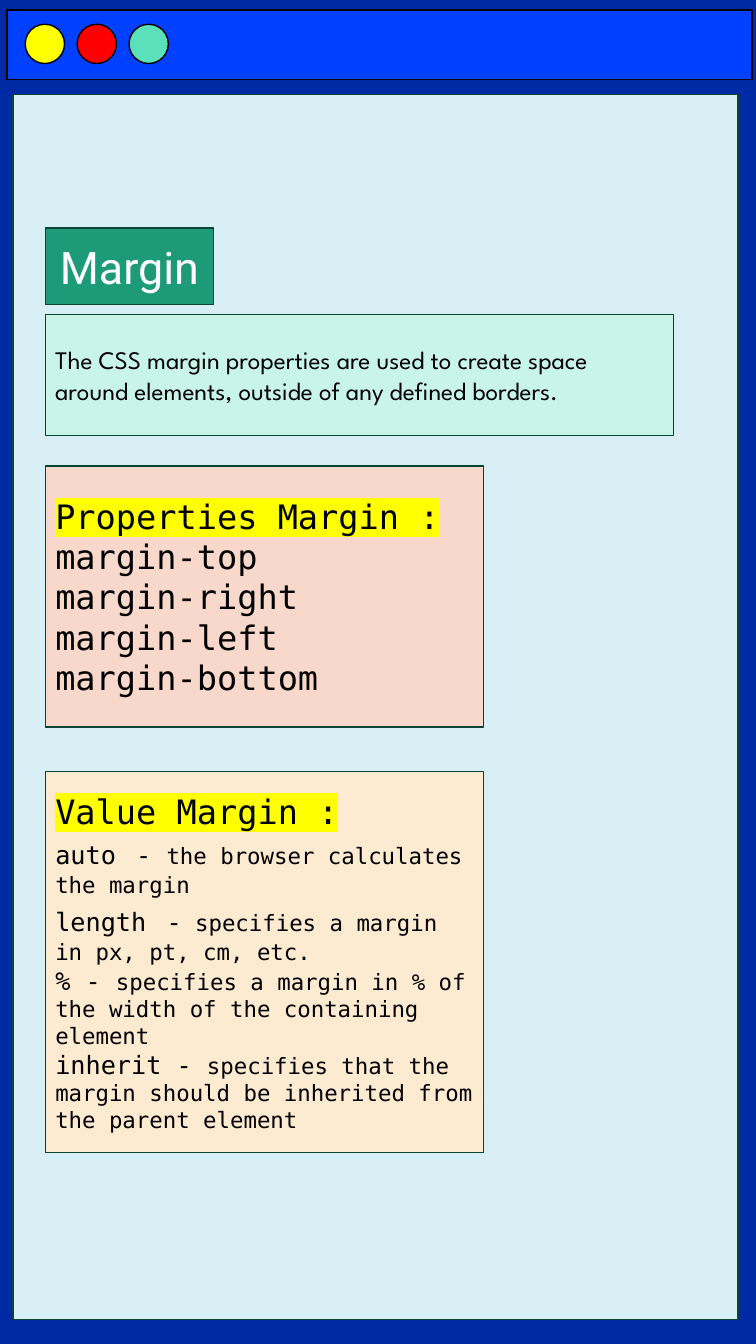
from lxml.etree import SubElement
from pptx import Presentation
from pptx.dml.color import RGBColor
from pptx.enum.shapes import MSO_SHAPE as Shape
from pptx.enum.text import MSO_ANCHOR as Anchor, PP_ALIGN as Align
from pptx.oxml.ns import qn
from pptx.util import Inches, Pt

NAVY = RGBColor(0x00, 0x29, 0xA6)
BLUE = RGBColor(0x02, 0x40, 0xFF)
YELLOW = RGBColor(0xFF, 0xFF, 0x00)
RED = RGBColor(0xFF, 0x00, 0x00)
MINT = RGBColor(0x5A, 0xE0, 0xBB)
PALE_BLUE = RGBColor(0xD7, 0xEF, 0xF5)
GREEN = RGBColor(0x1D, 0x9A, 0x78)
PALE_MINT = RGBColor(0xC8, 0xF5, 0xE8)
PEACH = RGBColor(0xF8, 0xD8, 0xCA)
CREAM = RGBColor(0xFC, 0xEB, 0xD1)
DARK_GREEN = RGBColor(0x0D, 0x43, 0x35)
BLACK = RGBColor(0x00, 0x00, 0x00)
WHITE = RGBColor(0xFF, 0xFF, 0xFF)

MONO = "DejaVu Sans Mono"
LEFT = 0.45
CARD_WIDTH = 4.35

# Each paragraph is a list of (text, size) spans
PROPERTIES = [[(name, 24)] for name in (
    "Properties Margin :", "margin-top", "margin-right",
    "margin-left", "margin-bottom")]
VALUES = [
    [("Value Margin :", 24)],
    [("auto", 18), (" ", 24), ("- ", 18),
     ("the browser calculates the margin", 16)],
    [("length", 18), (" ", 24), ("-", 18),
     (" specifies a margin in px, pt, cm, etc.", 16)],
    [("%", 18), (" - ", 18),
     ("specifies a margin in % of the width of the containing element", 16)],
    [("inherit - ", 18),
     ("specifies that the margin should be inherited from the parent element", 16)],
]


def add_box(shapes, kind, place, fill, line=DARK_GREEN):
    box = shapes.add_shape(kind, *[Inches(length) for length in place])
    box.shadow.inherit = False
    box.fill.solid()
    box.fill.fore_color.rgb = fill
    box.line.color.rgb = line
    box.line.width = Pt(1)
    return box


def format_span(span, size, font, color, highlight=None):
    span.font.size = Pt(size)
    span.font.color.rgb = color
    if highlight is not None:
        mark = SubElement(span.font._element, qn("a:highlight"))
        SubElement(mark, qn("a:srgbClr"), val=str(highlight))
    span.font.name = font


def add_label(shapes, place, fill, text, size, font, color, align=Align.LEFT):
    box = add_box(shapes, Shape.RECTANGLE, place, fill)
    frame = box.text_frame
    frame.text = text
    frame.word_wrap = True
    frame.vertical_anchor = Anchor.MIDDLE
    para = frame.paragraphs[0]
    para.alignment = align
    format_span(para.runs[0], size, font, color)


def add_card(shapes, place, fill, paragraphs):
    """A code card whose first paragraph is a highlighted heading."""
    frame = add_box(shapes, Shape.RECTANGLE, place, fill).text_frame
    frame.word_wrap = True
    frame.vertical_anchor = Anchor.MIDDLE
    for index, spans in enumerate(paragraphs):
        para = frame.add_paragraph() if index else frame.paragraphs[0]
        para.alignment = Align.LEFT
        for text, size in spans:
            span = para.add_run()
            span.text = text
            format_span(span, size, MONO, BLACK, None if index else YELLOW)
            if text == "%":
                span.font.italic = True


def add_title_bar(shapes):
    add_box(shapes, Shape.RECTANGLE, (0.07, 0.1, 7.39, 0.69), BLUE, BLACK)
    for index, color in enumerate((YELLOW, RED, MINT)):
        place = (0.25 + index * 0.515, 0.24, 0.39, 0.39)
        add_box(shapes, Shape.OVAL, place, color, BLACK)


def main():
    deck = Presentation()
    deck.slide_width = Inches(7.5)
    deck.slide_height = Inches(13.33)
    page = deck.slides.add_slide(deck.slide_layouts[6])
    page.background.fill.solid()
    page.background.fill.fore_color.rgb = NAVY

    # Window frame
    add_title_bar(page.shapes.add_group_shape().shapes)
    add_box(page.shapes, Shape.RECTANGLE, (0.13, 0.94, 7.19, 12.15), PALE_BLUE)

    # Heading and definition
    intro = page.shapes.add_group_shape().shapes
    add_label(intro, (LEFT, 2.26, 1.67, 0.76), GREEN,
              "Margin", 32, "Roboto", WHITE, Align.CENTER)
    add_label(intro, (LEFT, 3.12, 6.23, 1.2), PALE_MINT,
              "The CSS margin properties are used to create space around "
              "elements, outside of any defined borders.",
              18, "League Spartan", BLACK)

    # Code cards
    add_card(page.shapes, (LEFT, 4.62, CARD_WIDTH, 2.59), PEACH, PROPERTIES)
    add_card(page.shapes, (LEFT, 7.65, CARD_WIDTH, 3.78), CREAM, VALUES)

    deck.save("out.pptx")


if __name__ == "__main__":
    main()
